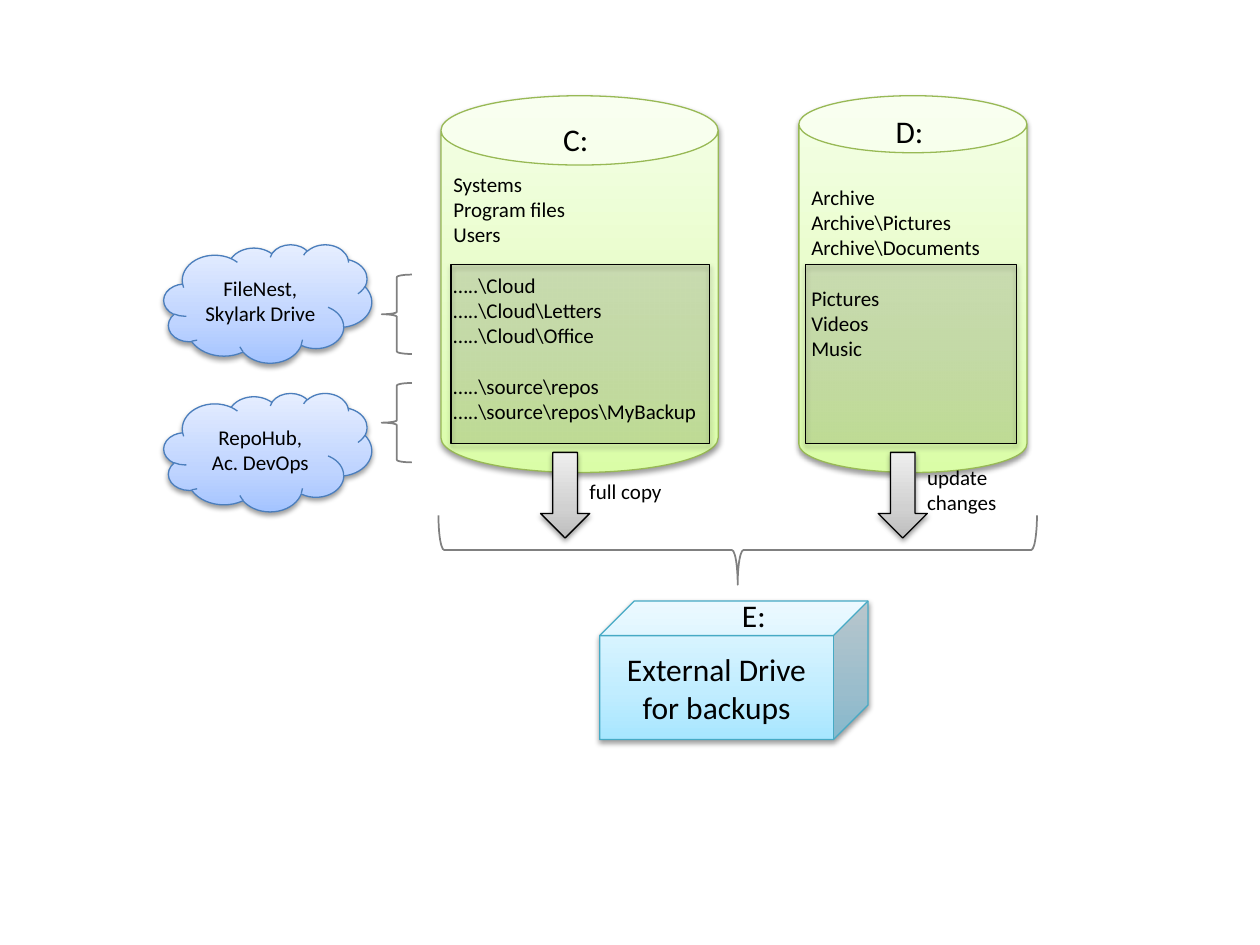
from lxml import etree
from pptx import Presentation
from pptx.dml.color import RGBColor
from pptx.enum.shapes import MSO_SHAPE
from pptx.enum.text import MSO_ANCHOR, MSO_AUTO_SIZE, PP_ALIGN
from pptx.oxml.ns import qn
from pptx.util import Inches, Pt

CAN, CUBE, CLOUD = MSO_SHAPE.CAN, MSO_SHAPE.CUBE, MSO_SHAPE.CLOUD
BRACE, ARROW, RECT = MSO_SHAPE.LEFT_BRACE, MSO_SHAPE.DOWN_ARROW, MSO_SHAPE.RECTANGLE
TOP, MIDDLE = MSO_ANCHOR.TOP, MSO_ANCHOR.MIDDLE
LEFT, CENTER = PP_ALIGN.LEFT, PP_ALIGN.CENTER
FIT_SHAPE = MSO_AUTO_SIZE.SHAPE_TO_FIT_TEXT

COLORS = {
    "text": "000000", "shade": "000000", "brace": "808080",
    "green_line": "98B955", "blue_line": "4B7EBC",
    "aqua_line": "46AAC5", "gray_line": "000000",
}
GRADIENTS = {
    "green": ("DAFDA7", "E4FCC2", "F5FFE7"),
    "blue": ("A4C4FF", "BFD4FF", "E6EEFF"),
    "aqua": ("A7E6FF", "C1EDFF", "E7F8FF"),
    "gray": ("BDBDBD", "D1D1D1", "EEEEEE"),
}
STOPS = (0, 35000, 100000)


def add_color(parent, value, alpha=None):
    """Append an sRGB colour, with an optional opacity in percent."""
    color = etree.SubElement(parent, qn("a:srgbClr"), val=value)
    if alpha is not None:
        etree.SubElement(color, qn("a:alpha"), val=str(alpha * 1000))


class Diagram:
    """Holds the slide and the shared style of the backup diagram."""

    font = "Calibri"
    line_gap = Pt(14.5)

    def __init__(self, slide):
        """Keep the slide to draw on."""
        self.shapes = slide.shapes

    def outlined(self, kind, box, color, width=0.75):
        """Add a preset shape with an outline and no shadow."""
        shape = self.shapes.add_shape(kind, *map(Inches, box))
        shape.shadow.inherit = False
        shape.line.color.rgb = RGBColor.from_string(COLORS[color])
        shape.line.width = Pt(width)
        return shape

    def cast_shadow(self, shape):
        """Give a shape the soft shadow that falls straight down."""
        effects = shape._element.spPr.find(qn("a:effectLst"))
        shadow = etree.SubElement(effects, qn("a:outerShdw"), blurRad=str(Pt(3.1)),
                                  dist=str(Pt(1.6)), dir="5400000", rotWithShape="0")
        add_color(shadow, "000000", 38)

    def solid(self, kind, box, tone):
        """Add a gradient-filled shape with a shadow."""
        shape = self.outlined(kind, box, tone + "_line")
        shape.fill.gradient()
        shape.fill.gradient_angle = 90
        stops = next(shape._element.spPr.iter(qn("a:gsLst")))
        for old in list(stops):
            stops.remove(old)
        for position, color in zip(STOPS, GRADIENTS[tone]):
            add_color(etree.SubElement(stops, qn("a:gs"), pos=str(position)), color)
        self.cast_shadow(shape)
        return shape

    def shade(self, box):
        """Add a translucent box that marks the folders to back up."""
        area = self.outlined(RECT, box, "shade")
        area.fill.solid()
        area.fill.fore_color.rgb = RGBColor.from_string(COLORS["shade"])
        color = area._element.spPr.find(qn("a:solidFill"))[0]
        etree.SubElement(color, qn("a:alpha"), val="10000")
        self.cast_shadow(area)

    def brace(self, box, rotation=0):
        """Add a thin brace."""
        brace = self.outlined(BRACE, box, "brace", 1)
        brace.fill.background()
        brace.rotation = rotation

    def set_text(self, frame, groups, size=12, align=LEFT, anchor=TOP):
        """Fill a frame with groups of lines, one line of space between groups."""
        frame.vertical_anchor = anchor
        paragraph = frame.paragraphs[0]
        for g, group in enumerate(groups):
            for n, line in enumerate(group):
                if g or n:
                    paragraph = frame.add_paragraph()
                if g and not n:
                    paragraph.space_before = self.line_gap
                paragraph.alignment = align
                run = paragraph.add_run()
                run.text = line
                run.font.name, run.font.size = self.font, Pt(size)
                run.font.color.rgb = RGBColor.from_string(COLORS["text"])

    def label(self, box, lines, size=12):
        """Add a free label that does not wrap."""
        frame = self.shapes.add_textbox(*map(Inches, box)).text_frame
        frame.word_wrap = False
        frame.auto_size = FIT_SHAPE
        self.set_text(frame, [lines], size)


prs = Presentation()
prs.slide_width, prs.slide_height = Inches(10), Inches(7.5)
diagram = Diagram(prs.slides.add_slide(prs.slide_layouts[6]))

system_folders = [
    ["Systems", "Program files", "Users"],
    ["…..\\Cloud", "…..\\Cloud\\Letters", "…..\\Cloud\\Office"],
    ["…..\\source\\repos", "…..\\source\\repos\\MyBackup"],
]
data_folders = [
    ["Archive", "Archive\\Pictures", "Archive\\Documents"],
    ["Pictures", "Videos", "Music"],
]
DRIVE_TOP, DRIVE_HEIGHT = 0.76, 2.99
for left, width, folders, inset in ((3.5, 2.2, system_folders, 0.05),
                                    (6.34, 1.81, data_folders, 0.25)):
    drive = diagram.solid(CAN, (left, DRIVE_TOP, width, DRIVE_HEIGHT), "green")
    drive.text_frame.margin_top = Inches(inset)
    diagram.set_text(drive.text_frame, folders)

diagram.label((4.37, 0.9, 0.41, 0.4), ["C:"], 18)
diagram.label((7.01, 0.84, 0.43, 0.4), ["D:"], 18)

backup = diagram.solid(CUBE, (4.76, 4.77, 2.13, 1.1), "aqua")
diagram.set_text(backup.text_frame, [["External Drive", "for backups"]], 18, CENTER, MIDDLE)
diagram.label((5.79, 4.68, 0.39, 0.4), ["E:"], 18)
diagram.brace((5.58, 1.99, 0.55, 4.75), 270)

for cloud_top, brace_top, services in ((1.94, 2.18, ["FileNest,", "Skylark Drive"]),
                                       (3.12, 3.04, ["RepoHub,", "Ac. DevOps"])):
    cloud = diagram.solid(CLOUD, (1.3, cloud_top, 1.65, 0.94), "blue")
    diagram.set_text(cloud.text_frame, [services], align=CENTER, anchor=MIDDLE)
    diagram.brace((3.03, brace_top, 0.24, 0.63))

for area_left, area_width, arrow_left, label_box, action in (
        (3.58, 2.05, 4.29, (4.58, 3.75, 0.78, 0.3), ["full copy"]),
        (6.39, 1.68, 6.97, (7.26, 3.64, 0.76, 0.5), ["update", "changes"])):
    diagram.shade((area_left, 2.1, area_width, 1.42))
    diagram.solid(ARROW, (arrow_left, 3.59, 0.39, 0.68), "gray")
    diagram.label(label_box, action)

prs.save("out.pptx")
